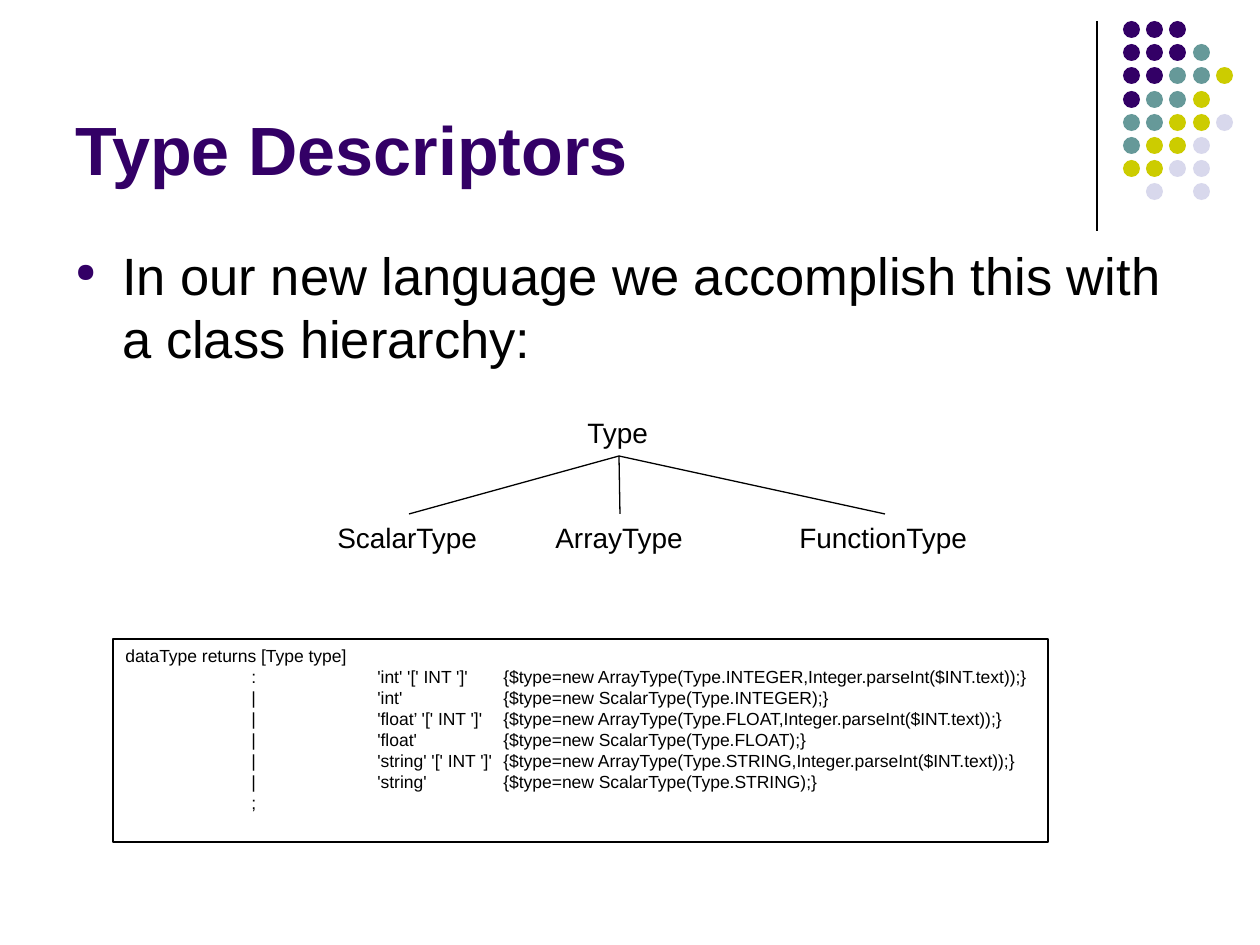
from lxml import etree
from pptx import Presentation
from pptx.dml.color import RGBColor
from pptx.enum import shapes, text
from pptx.oxml import ns
from pptx.util import Emu, Pt

SCALE = 914400 // 126
FONT = "Arial"
BLACK = RGBColor(0x00, 0x00, 0x00)
PURPLE = RGBColor(0x33, 0x00, 0x66)
TEAL = RGBColor(0x66, 0x99, 0x99)
OLIVE = RGBColor(0xCC, 0xCC, 0x00)
LAVENDER = RGBColor(0xD8, 0xD8, 0xEC)

DOT_COLOURS = {"P": PURPLE, "T": TEAL, "O": OLIVE, "L": LAVENDER}
DOT_ROWS = ["PPP", "PPPT", "PPTTO", "PTTO", "TTOOL", "TOOL", "OOLL", " L L"]

GRAMMAR = [
    "dataType returns [Type type]",
    "\t:\t'int' '[' INT ']'\t{$type=new ArrayType(Type.INTEGER,Integer.parseInt($INT.text));}",
    "\t|\t'int'\t{$type=new ScalarType(Type.INTEGER);}",
    "\t|\t'float’ '[' INT ']'\t{$type=new ArrayType(Type.FLOAT,Integer.parseInt($INT.text));}",
    "\t|\t'float'\t{$type=new ScalarType(Type.FLOAT);}",
    "\t|\t'string' '[' INT ']'\t{$type=new ArrayType(Type.STRING,Integer.parseInt($INT.text));}",
    "\t|\t'string'\t{$type=new ScalarType(Type.STRING);}",
    "\t;",
]


def px(*lengths):
    return [Emu(length * SCALE) for length in lengths]


def add_run(paragraph, words, size, colour=BLACK, bold=False):
    run = paragraph.add_run()
    run.text = words
    run.font.name = FONT
    run.font.size = Pt(size)
    run.font.bold = bold
    run.font.color.rgb = colour


def add_line(slide, x1, y1, x2, y2):
    line = slide.shapes.add_connector(
        shapes.MSO_CONNECTOR.STRAIGHT, *px(x1, y1, x2, y2))
    line.line.color.rgb = BLACK
    line.line.width = Pt(0.75)
    etree.SubElement(line._element.spPr, ns.qn("a:effectLst"))


def add_decoration(slide, left, top, height):
    """Vertical rule with a grid of coloured dots to its right."""
    add_line(slide, left, top, left, top + height)
    pitch, diameter = 23.2, 17
    for row, codes in enumerate(DOT_ROWS):
        for column, code in enumerate(codes):
            if code == " ":
                continue
            x = round(left + 26 + column * pitch)
            y = round(top + row * pitch)
            dot = slide.shapes.add_shape(
                shapes.MSO_SHAPE.OVAL, *px(x, y, diameter, diameter))
            dot.shadow.inherit = False
            dot.fill.solid()
            dot.fill.fore_color.rgb = DOT_COLOURS[code]
            dot.line.fill.background()


def add_title(slide, left, top, width, height):
    title = slide.shapes.title
    title.left, title.top, title.width, title.height = px(left, top, width, height)
    title.text_frame.vertical_anchor = text.MSO_ANCHOR.BOTTOM
    paragraph = title.text_frame.paragraphs[0]
    paragraph.alignment = text.PP_ALIGN.LEFT
    add_run(paragraph, "Type Descriptors", 39, PURPLE, bold=True)


def add_bullet(slide, left, top, width, height):
    box = slide.shapes.add_textbox(*px(left, top, width, height))
    box.text_frame.word_wrap = True
    paragraph = box.text_frame.paragraphs[0]
    add_run(paragraph,
            "In our new language we accomplish this with a class hierarchy:", 30)
    properties = paragraph._p.get_or_add_pPr()
    indent = px(47)[0]
    properties.set("marL", str(indent))
    properties.set("indent", str(-indent))
    colour = etree.SubElement(properties, ns.qn("a:buClr"))
    etree.SubElement(colour, ns.qn("a:srgbClr"), val=str(PURPLE))
    etree.SubElement(properties, ns.qn("a:buSzPct"), val="50000")
    etree.SubElement(properties, ns.qn("a:buChar"), char="●")


def add_hierarchy(slide, left, top):
    """Root type, with a line from it to each of its subtypes."""
    row_height, child_top = 47, 105
    root = ("Type", 250, 0, 88)
    children = [("ScalarType", 0, 166, 84), ("ArrayType", 218, 155, 295),
                ("FunctionType", 462, 195, 560)]
    labels = [root] + [(name, x, child_top, width)
                       for name, x, width, _ in children]
    for name, x, y, width in labels:
        label = slide.shapes.add_textbox(
            *px(left + x, top + y, width, row_height))
        label.text_frame.word_wrap = False
        add_run(label.text_frame.paragraphs[0], name, 16)
    for *_, line_end in children:
        add_line(slide, left + 294, top + row_height,
                 left + line_end, top + child_top)


def add_grammar(slide, left, top, width, height):
    box = slide.shapes.add_shape(
        shapes.MSO_SHAPE.RECTANGLE, *px(left, top, width, height))
    box.shadow.inherit = False
    box.fill.background()
    box.line.color.rgb = BLACK
    box.line.width = Pt(0.75)
    frame = box.text_frame
    frame.word_wrap = False
    frame.vertical_anchor = text.MSO_ANCHOR.TOP
    tab_width = str(px(126)[0])
    for number, rule in enumerate(GRAMMAR):
        paragraph = frame.add_paragraph() if number else frame.paragraphs[0]
        paragraph.alignment = text.PP_ALIGN.LEFT
        # Tab stops one inch apart
        properties = paragraph._p.get_or_add_pPr()
        properties.set("defTabSz", tab_width)
        stops = etree.SubElement(properties, ns.qn("a:tabLst"))
        for stop in (1, 2, 3):
            etree.SubElement(stops, ns.qn("a:tab"),
                             pos=str(px(126 * stop)[0]), algn="l")
        add_run(paragraph, rule, 10)


def build_slide(presentation):
    slide = presentation.slides.add_slide(presentation.slide_layouts[5])
    add_decoration(slide, 1097, 21, 210)
    add_title(slide, 63, 16, 1040, 179)
    add_bullet(slide, 63, 237, 1134, 163)
    add_hierarchy(slide, 325, 409)
    add_grammar(slide, 113, 639, 935, 203)


presentation = Presentation()
presentation.slide_width, presentation.slide_height = px(1260, 945)
build_slide(presentation)
presentation.save("out.pptx")
